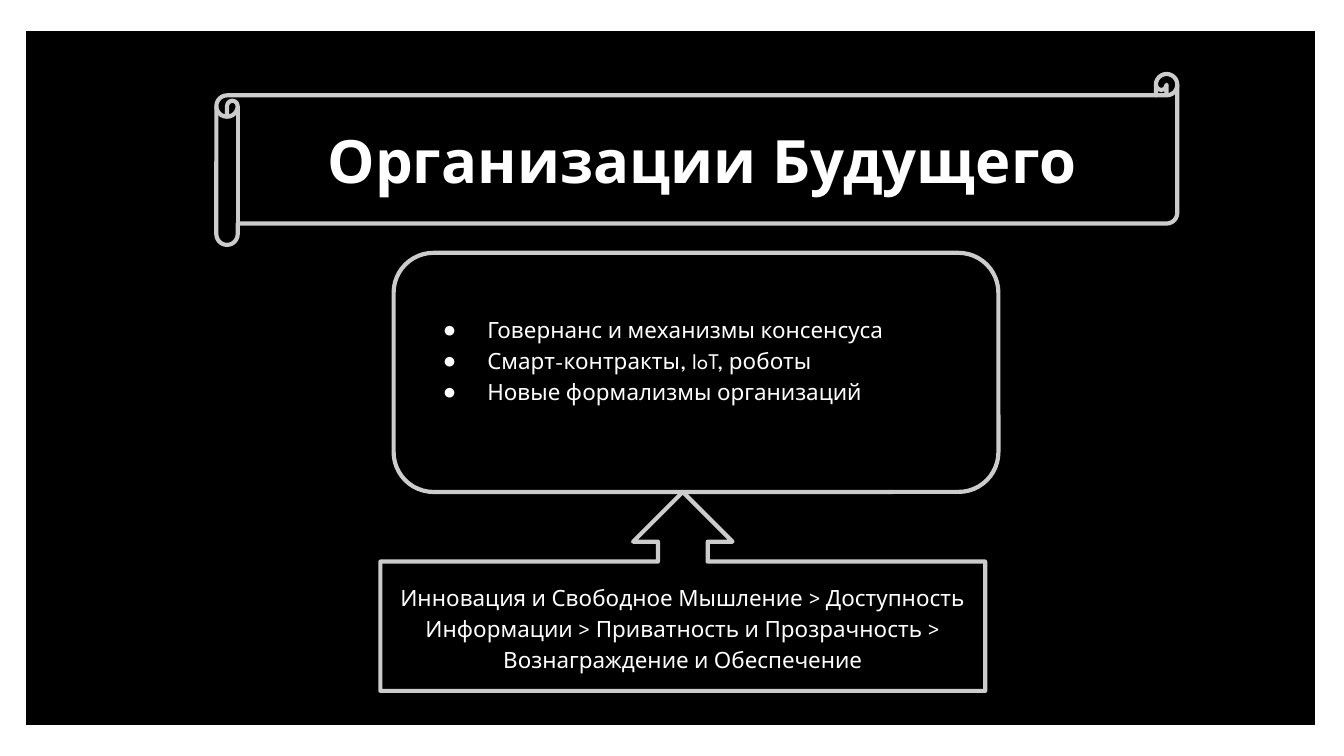
from lxml import etree
from pptx import Presentation
from pptx import util as u
from pptx.dml.color import RGBColor
from pptx.enum import shapes, text
from pptx.oxml.ns import qn

BLACK, WHITE, GREY = "000000", "FFFFFF", "CCCCCC"
SHAPE = shapes.MSO_SHAPE
ALIGN = text.PP_ALIGN


def colour(value):
    return RGBColor.from_string(value)


class SlideBuilder:
    font = {"name": "League Spartan", "size": u.Pt(12), "bold": False}
    frame = {
        "word_wrap": True,
        "auto_size": text.MSO_AUTO_SIZE.NONE,
        "vertical_anchor": text.MSO_ANCHOR.MIDDLE,
        **{f"margin_{side}": u.Cm(0.25) for side in ("left", "right", "top", "bottom")},
    }

    def __init__(self, page):
        self.page = page

    def apply(self, target, values):
        for name, value in values.items():
            setattr(target, name, value)

    def place(self, box, area):
        names = ("left", "top", "width", "height")
        self.apply(box, dict(zip(names, map(u.Cm, area))))

    def panel(self, preset, area, line=GREY, width=2.25, adjustments=()):
        box = self.page.shapes.add_shape(preset, *map(u.Cm, area))
        box.shadow.inherit = False
        box.fill.solid()
        box.fill.fore_color.rgb = colour(BLACK)
        box.line.color.rgb = colour(line)
        box.line.width = u.Pt(width)
        for index, value in enumerate(adjustments):
            box.adjustments[index] = value
        return box

    def fill_text(self, box, lines, align=ALIGN.CENTER, spacing=1.15, **font):
        self.apply(box.text_frame, self.frame)
        box.text_frame.text = "\n".join(lines)
        for para in box.text_frame.paragraphs:
            self.apply(para, {"alignment": align, "line_spacing": spacing,
                              "space_before": u.Pt(0)})
            for span in para.runs:
                self.apply(span.font, {**self.font, **font})
                span.font.color.rgb = colour(WHITE)

    def bring_forward(self, box, area):
        """Move a placeholder to its area, in front of the panels."""
        self.place(box, area)
        box.element.getparent().append(box.element)

    def title(self, line, area):
        box = self.page.shapes.title
        self.bring_forward(box, area)
        self.fill_text(box, [line], spacing=1.0, size=u.Pt(32), bold=True)

    def bullets(self, lines, area):
        box = self.page.placeholders[1]
        self.bring_forward(box, area)
        self.fill_text(box, lines, align=ALIGN.JUSTIFY)
        for para in box.text_frame.paragraphs:
            properties = para._p.get_or_add_pPr()
            properties.set("marL", str(u.Cm(1.27)))
            properties.set("indent", str(u.Cm(-0.84)))
            tint = etree.SubElement(properties, qn("a:buClr"))
            etree.SubElement(tint, qn("a:srgbClr"), val=WHITE)
            etree.SubElement(properties, qn("a:buChar"), char="●")


def main():
    deck = Presentation()
    deck.slide_width, deck.slide_height = u.Cm(25.4), u.Cm(14.29)
    builder = SlideBuilder(deck.slides.add_slide(deck.slide_layouts[1]))

    builder.panel(SHAPE.RECTANGLE, (0.48, 0.58, 24.38, 13.13), WHITE, 0.75)
    builder.panel(SHAPE.HORIZONTAL_SCROLL, (4.09, 1.4, 18.16, 3.23))
    builder.title("Организации Будущего", (4.49, 1.4, 17.56, 3.23))

    builder.panel(SHAPE.ROUNDED_RECTANGLE, (7.44, 4.78, 11.43, 4.52))
    builder.bullets(
        ["Говернанс и механизмы консенсуса",
         "Смарт-контракты, IoT, роботы",
         "Новые формализмы организаций"],
        (7.69, 4.78, 10.93, 4.0),
    )

    callout = builder.panel(SHAPE.UP_ARROW_CALLOUT, (7.19, 9.3, 11.43, 3.76),
                            adjustments=(0.25, 0.25, 0.25, 0.65))
    builder.fill_text(callout, [
        "Инновация и Свободное Мышление > Доступность Информации > "
        "Приватность и Прозрачность > Вознаграждение и Обеспечение"
    ])

    deck.save("out.pptx")


if __name__ == "__main__":
    main()
